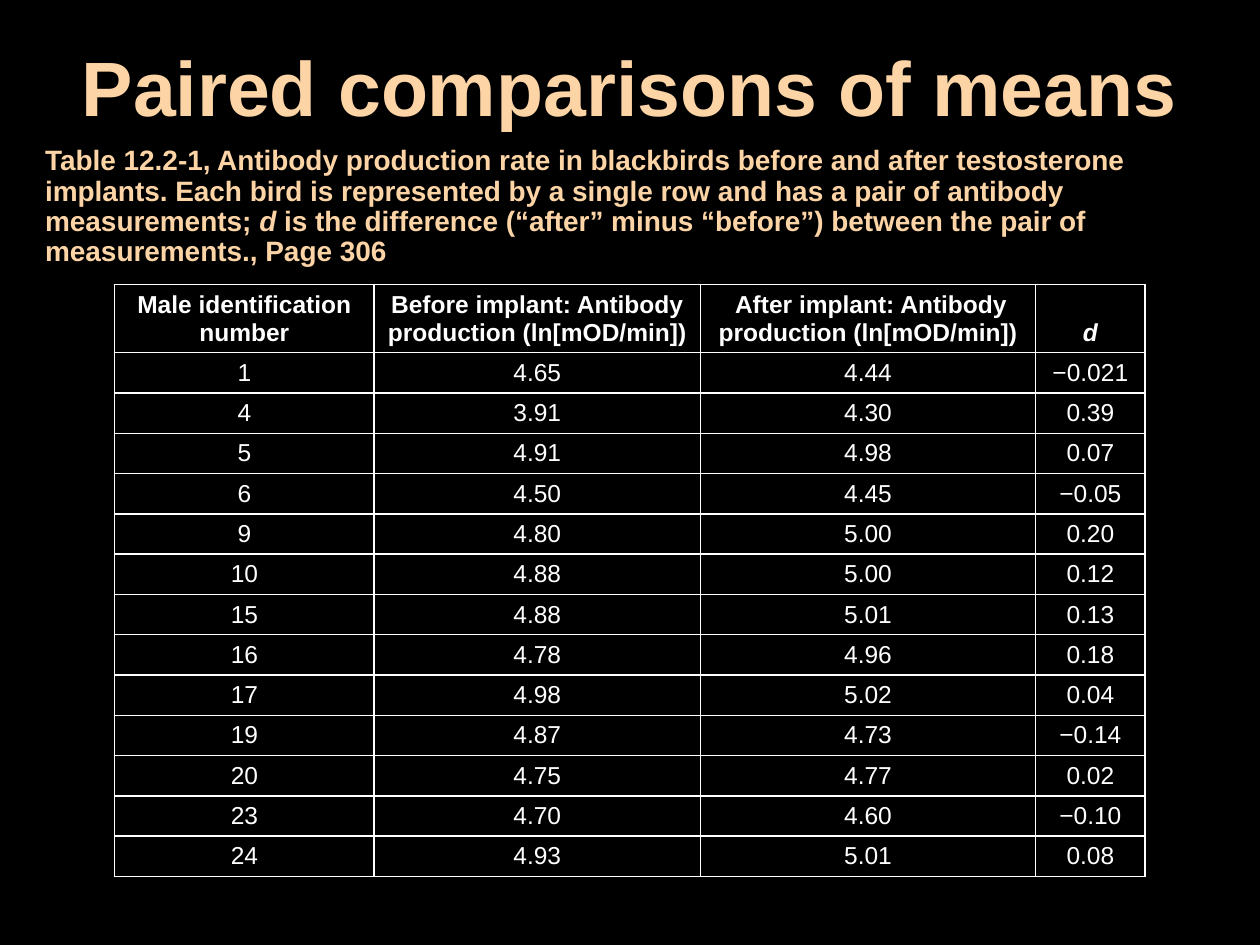
from lxml import etree
from pptx import Presentation
from pptx import util as u
from pptx.dml.color import RGBColor
from pptx.enum import text
from pptx.oxml.ns import qn

BLACK, WHITE, PEACH = "000000", "FFFFFF", "FCD4A5"
TITLE = {"name": "Arial", "size": u.Pt(44), "bold": True, "italic": False}
CAPTION = TITLE | {"size": u.Pt(16)}
HEADER = TITLE | {"size": u.Pt(14)}
BODY = HEADER | {"bold": False}

CAPTION_RUNS = [
    ("Table 12.2-1, Antibody production rate in blackbirds before and after "
     "testosterone implants. Each bird is represented by a single row and has "
     "a pair of antibody measurements; ", False),
    ("d", True),
    (" is the difference (“after” minus “before”) between the pair of "
     "measurements., Page 306", False),
]
COL_WIDTHS = [2.06, 2.59, 2.66, 0.87]
HEADER_HEIGHT, ROW_HEIGHT = 0.54, 0.32
HEADINGS = [
    "Male identification number",
    "Before implant: Antibody production (ln[mOD/min])",
    " After implant: Antibody production (ln[mOD/min])",
    "d",
]
BIRDS = [
    ("1", "4.65", "4.44", "−0.021"),
    ("4", "3.91", "4.30", "0.39"),
    ("5", "4.91", "4.98", "0.07"),
    ("6", "4.50", "4.45", "−0.05"),
    ("9", "4.80", "5.00", "0.20"),
    ("10", "4.88", "5.00", "0.12"),
    ("15", "4.88", "5.01", "0.13"),
    ("16", "4.78", "4.96", "0.18"),
    ("17", "4.98", "5.02", "0.04"),
    ("19", "4.87", "4.73", "−0.14"),
    ("20", "4.75", "4.77", "0.02"),
    ("23", "4.70", "4.60", "−0.10"),
    ("24", "4.93", "5.01", "0.08"),
]


def rgb(value):
    return RGBColor.from_string(value)


def set_attrs(obj, values):
    for name, value in values.items():
        setattr(obj, name, value)


def add_run(p, words, font, color):
    r = p.add_run()
    r.text = words
    set_attrs(r.font, font)
    r.font.color.rgb = rgb(color)


def set_frame(tf):
    set_attrs(tf, {"word_wrap": True, "auto_size": text.MSO_AUTO_SIZE.NONE,
                   "vertical_anchor": text.MSO_ANCHOR.MIDDLE})


def add_title(s, x, y, w, h):
    sp = s.shapes.title
    set_attrs(sp, {"left": u.Inches(x), "top": u.Inches(y),
                   "width": u.Inches(w), "height": u.Inches(h)})
    set_frame(sp.text_frame)
    p = sp.text_frame.paragraphs[0]
    set_attrs(p, {"alignment": text.PP_ALIGN.CENTER, "line_spacing": 0.9})
    add_run(p, "Paired comparisons of means", TITLE, PEACH)


def add_caption(s, x, y, w, h):
    sp = s.shapes.add_textbox(*map(u.Inches, (x, y, w, h)))
    set_frame(sp.text_frame)
    p = sp.text_frame.paragraphs[0]
    set_attrs(p, {"alignment": text.PP_ALIGN.LEFT, "line_spacing": 0.9})
    for words, italic in CAPTION_RUNS:
        add_run(p, words, CAPTION | {"italic": italic}, PEACH)


def add_borders(cell, color):
    tc_pr = cell._tc.get_or_add_tcPr()
    for i, side in enumerate(("a:lnL", "a:lnR", "a:lnT", "a:lnB")):
        ln = etree.Element(qn(side), w=str(u.Pt(1)))
        fill = etree.SubElement(ln, qn("a:solidFill"))
        etree.SubElement(fill, qn("a:srgbClr"), val=color)
        tc_pr.insert(i, ln)


def fill_cell(cell, words, font, anchor):
    cell.fill.solid()
    cell.fill.fore_color.rgb = rgb(BLACK)
    set_attrs(cell, {"vertical_anchor": anchor,
                     "margin_left": u.Inches(0.1), "margin_right": u.Inches(0.1),
                     "margin_top": u.Inches(0.05), "margin_bottom": u.Inches(0.05)})
    p = cell.text_frame.paragraphs[0]
    p.alignment = text.PP_ALIGN.CENTER
    add_run(p, words, font, WHITE)
    add_borders(cell, WHITE)


def add_antibody_table(s, x, y, w):
    rows = [HEADINGS, *BIRDS]
    h = HEADER_HEIGHT + ROW_HEIGHT * len(BIRDS)
    table = s.shapes.add_table(len(rows), len(HEADINGS),
                               *map(u.Inches, (x, y, w, h))).table
    for column, width in zip(table.columns, COL_WIDTHS):
        column.width = u.Inches(width)
    for i, values in enumerate(rows):
        is_header = i == 0
        table.rows[i].height = u.Inches(HEADER_HEIGHT if is_header else ROW_HEIGHT)
        anchor = text.MSO_ANCHOR.BOTTOM if is_header else text.MSO_ANCHOR.TOP
        for j, words in enumerate(values):
            font = HEADER | {"italic": words == "d"} if is_header else BODY
            fill_cell(table.cell(i, j), words, font, anchor)


def main():
    prs = Presentation()
    set_attrs(prs, {"slide_width": u.Inches(10), "slide_height": u.Inches(7.5)})
    s = prs.slides.add_slide(prs.slide_layouts[5])
    s.background.fill.solid()
    s.background.fill.fore_color.rgb = rgb(BLACK)

    # Heading and caption
    add_title(s, 0, 0, 10, 1.45)
    add_caption(s, 0.26, 1.28, 9.49, 0.73)

    # Measurements
    add_antibody_table(s, 0.91, 2.26, sum(COL_WIDTHS))
    prs.save("out.pptx")


if __name__ == "__main__":
    main()
